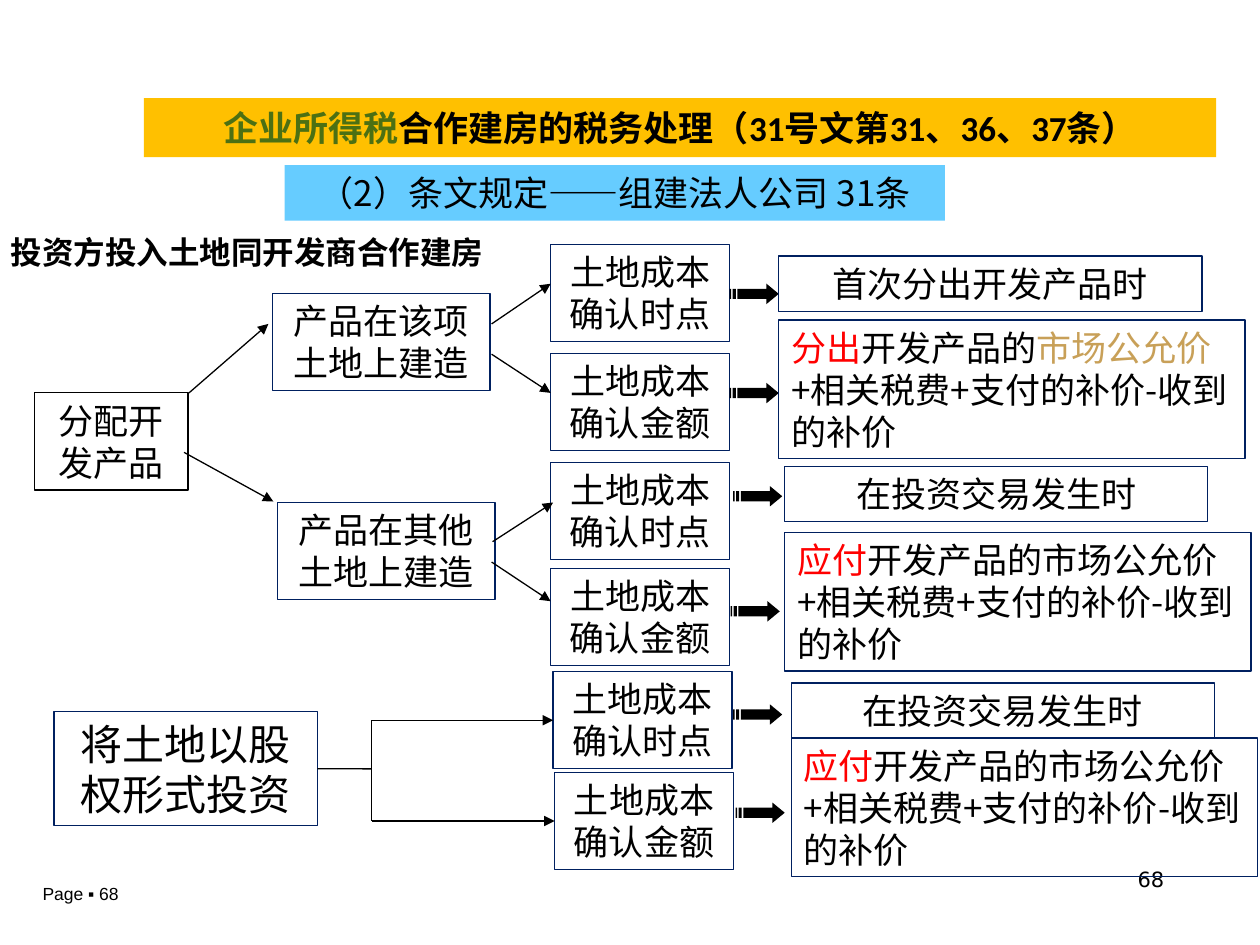
from lxml.etree import SubElement
from pptx import Presentation
from pptx.dml.color import RGBColor
from pptx.enum.shapes import MSO_CONNECTOR, MSO_SHAPE
from pptx.enum.text import MSO_ANCHOR, PP_ALIGN
from pptx.oxml.ns import qn
from pptx.util import Cm, Pt

COLORS = {
    "black": "000000", "navy": "002060", "red": "FF0000", "gold": "C8A058",
    "green": "4C7013", "amber": "FFC000", "sky": "66CCFF",
}
CJK = "Noto Sans CJK SC"
LEFT, RIGHT = 1, 3  # connection sites of a rectangle


def rgb(name):
    return RGBColor.from_string(COLORS[name])


def add_run(p, text, size=20, font=CJK, color="black", bold=False):
    r = p.add_run()
    r.text = text
    r.font.size = Pt(size)
    r.font.name = font
    r.font.bold = bold
    r.font.color.rgb = rgb(color)
    SubElement(r.font._element, qn("a:ea")).set("typeface", CJK)


class SlideBuilder:
    def __init__(self, slide):
        self.s = slide
        self.line_width = Pt(0.75)
        self.leading = 1.2

    def set_text(self, sp, runs, align=PP_ALIGN.CENTER, anchor=MSO_ANCHOR.TOP,
                 wrap=True, size=20, font=CJK):
        """Fill a shape with one paragraph of (text, format) runs, or a plain string."""
        tf = sp.text_frame
        tf.word_wrap = wrap
        tf.vertical_anchor = anchor
        p = tf.paragraphs[0]
        p.alignment = align
        p.line_spacing = Pt(size * self.leading)
        if isinstance(runs, str):
            runs = [(runs, {})]
        for text, fmt in runs:
            add_run(p, text, **{"size": size, "font": font, **fmt})

    def box(self, x, y, w, h, runs, fill=None, line="navy", **fmt):
        sp = self.s.shapes.add_shape(MSO_SHAPE.RECTANGLE, Cm(x), Cm(y), Cm(w), Cm(h))
        sp.shadow.inherit = False
        if fill:
            sp.fill.solid()
            sp.fill.fore_color.rgb = rgb(fill)
        else:
            sp.fill.background()
        if line:
            sp.line.color.rgb = rgb(line)
            sp.line.width = self.line_width
        else:
            sp.line.fill.background()
        self.set_text(sp, runs, **fmt)
        return sp

    def label(self, x, y, w, h, runs, **fmt):
        sp = self.s.shapes.add_textbox(Cm(x), Cm(y), Cm(w), Cm(h))
        self.set_text(sp, runs, **fmt)

    def line(self, x1, y1, x2, y2, arrow=True, start=None, end=None):
        """Draw a straight line; start joins a box's right side, end a box's left side."""
        c = self.s.shapes.add_connector(
            MSO_CONNECTOR.STRAIGHT, Cm(x1), Cm(y1), Cm(x2), Cm(y2))
        c.line.color.rgb = rgb("black")
        c.line.width = self.line_width
        if arrow:
            SubElement(c.line._get_or_add_ln(), qn("a:tailEnd")).set("type", "triangle")
        SubElement(c._element.spPr, qn("a:effectLst"))
        if start is not None:
            c.begin_connect(start, RIGHT)
        if end is not None:
            c.end_connect(end, LEFT)

    def striped_arrow(self, x, y, w=0.99, h=0.41):
        top, bottom, neck = h / 4, h * 3 / 4, w * 0.75
        body = [(neck, 0), (neck, top), (w * 5 / 32, top), (w * 5 / 32, bottom),
                (neck, bottom), (neck, h), (w, h / 2)]
        stripes = [[(a, top), (a, bottom), (b, bottom), (b, top)]
                   for a, b in ((w / 16, w / 8), (0, w / 32))]
        outlines = [[(Cm(x + dx), Cm(y + dy)) for dx, dy in outline]
                    for outline in (body, *stripes)]
        fb = self.s.shapes.build_freeform(*outlines[0][0], scale=1.0)
        for i, points in enumerate(outlines):
            if i:
                fb.move_to(*points[0])
            fb.add_line_segments(points[1:], close=True)
        sp = fb.convert_to_shape()
        sp.shadow.inherit = False
        sp.fill.solid()
        sp.fill.fore_color.rgb = rgb("black")
        sp.line.fill.background()


def main():
    prs = Presentation()
    prs.slide_width, prs.slide_height = Cm(25.4), Cm(19.05)
    b = SlideBuilder(prs.slides.add_slide(prs.slide_layouts[6]))

    b.label(0.61, 17.68, 3.73, 0.69, "Page ▪ 68", size=10, font="Arial",
            align=PP_ALIGN.LEFT)
    b.label(18.21, 17.35, 5.51, 1.32, "68", size=12, font="DejaVu Sans",
            align=PP_ALIGN.RIGHT)
    b.box(2.9, 1.98, 21.62, 1.19, [
        ("企业所得税", {"color": "green", "font": "DejaVu Sans", "bold": True}),
        ("合作建房的税务处理（31号文第31、36、37条）", {"font": "Calibri", "bold": True}),
    ], fill="amber", line=None, anchor=MSO_ANCHOR.MIDDLE)
    b.box(5.74, 3.33, 13.31, 1.12, "（2）条文规定——组建法人公司 31条",
          fill="sky", line=None, wrap=False)
    b.label(-0.03, 4.57, 10.34, 1.02, [("投资方投入土地同开发商合作建房", {"bold": True})],
            size=18, font="Arial", align=PP_ALIGN.LEFT, anchor=MSO_ANCHOR.MIDDLE,
            wrap=False)

    # Starting points and product branches
    b.box(0.69, 7.92, 3.1, 1.96, "分配开发产品", line="black")
    equity = b.box(1.09, 14.35, 5.31, 2.29, "将土地以股权形式投资", size=24)
    for x, y, text in ((5.49, 5.92, "产品在该项土地上建造"),
                       (5.59, 10.13, "产品在其他土地上建造")):
        b.box(x, y, 4.39, 1.96, text, font="Arial")

    # Land cost: when it is recognised, then how much
    cost_boxes = []
    for i, (x, y) in enumerate(((11.1, 4.93), (11.1, 7.13), (11.1, 9.32),
                                (11.1, 11.46), (11.15, 13.54), (11.18, 15.57))):
        text = "土地成本确认金额" if i % 2 else "土地成本确认时点"
        cost_boxes.append(b.box(x, y, 3.61, 1.96, text, font="Arial"))
    for x, y in ((14.71, 5.72), (14.71, 7.72), (14.78, 9.8),
                 (14.73, 12.12), (14.78, 14.2), (14.83, 16.18)):
        b.striped_arrow(x, y)

    # Rules for time and amount
    extras = "+相关税费+支付的补价-收到的补价"
    distributed = [("分出", {"color": "red"}), ("开发产品的", {}),
                   ("市场公允价", {"color": "gold"}), (extras, {})]
    payable = [("应付", {"color": "red"}), ("开发产品的市场公允价" + extras, {})]
    for x, time_y, time_text, amount_y, amount in (
            (15.7, 5.16, "首次分出开发产品时", 6.45, distributed),
            (15.82, 9.4, "在投资交易发生时", 10.74, payable),
            (15.95, 13.77, "在投资交易发生时", 14.88, payable)):
        b.box(x, time_y, 8.53, 1.12, time_text)
        b.box(x, amount_y, 9.4, 2.79, amount, align=PP_ALIGN.LEFT)

    for ends in ((3.81, 7.92, 5.41, 6.53), (3.71, 9.12, 5.51, 10.11),
                 (9.91, 6.53, 11.1, 5.72), (9.91, 7.14, 11.1, 7.92),
                 (9.93, 10.92, 11.15, 10.13), (9.91, 11.33, 11.1, 12.12)):
        b.line(*ends)

    # Bracket from the equity investment to its two cost boxes
    fork_x, fork_top, fork_bottom = 7.49, 14.52, 16.55
    b.line(6.4, 15.5, fork_x, 15.5, arrow=False, start=equity)
    b.line(fork_x, fork_top, fork_x, fork_bottom, arrow=False)
    for y, cost_box in zip((fork_top, fork_bottom), cost_boxes[-2:]):
        b.line(fork_x, y, 11.15, y, end=cost_box)

    prs.save("out.pptx")


if __name__ == "__main__":
    main()
